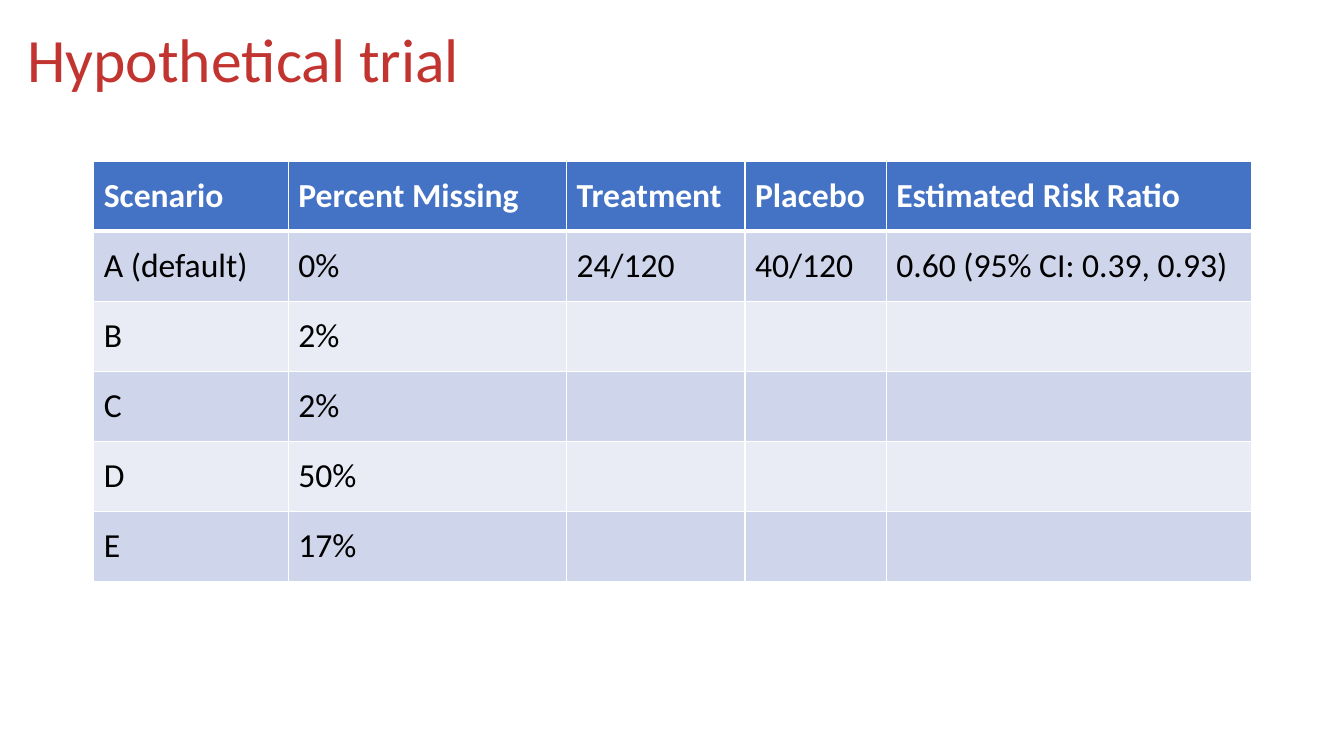
from dataclasses import dataclass

from lxml.etree import SubElement
from pptx import Presentation
from pptx.dml.color import RGBColor
from pptx.enum.text import MSO_ANCHOR, PP_ALIGN
from pptx.oxml.ns import qn
from pptx.util import Inches, Pt


@dataclass(frozen=True)
class Theme:
    font: str = "Calibri"
    title_size: int = 44
    table_size: int = 24
    title: str = "C2342F"
    header: str = "4472C4"
    bands: tuple = ("CFD5EA", "E9EBF5")
    light: str = "FFFFFF"
    dark: str = "000000"


THEME = Theme()
COLUMN_WIDTHS = [1.93, 2.76, 1.77, 1.4, 3.62]
ROWS = [
    ["Scenario", "Percent Missing", "Treatment", "Placebo", "Estimated Risk Ratio"],
    ["A (default)", "0%", "24/120", "40/120", "0.60 (95% CI: 0.39, 0.93)"],
    ["B", "2%", "", "", ""],
    ["C", "2%", "", "", ""],
    ["D", "50%", "", "", ""],
    ["E", "17%", "", "", ""],
]


def format_runs(p, size, color, bold=False):
    for r in p.runs:
        r.font.name = THEME.font
        r.font.size = Pt(size)
        r.font.bold = bold
        r.font.color.rgb = RGBColor.from_string(color)


def set_borders(cell, widths):
    """Draw light cell borders; widths maps each side (L, R, T, B) to points."""
    tc_pr = cell._tc.get_or_add_tcPr()
    for side, width in widths.items():
        ln = SubElement(tc_pr, qn(f"a:ln{side}"), w=str(Pt(width)))
        fill = SubElement(ln, qn("a:solidFill"))
        SubElement(fill, qn("a:srgbClr"), val=THEME.light)


def add_title(slide, text, left, top, width, height):
    sp = slide.shapes.title
    sp.left, sp.top = Inches(left), Inches(top)
    sp.width, sp.height = Inches(width), Inches(height)
    tf = sp.text_frame
    tf.text = text
    tf.word_wrap = True
    tf.vertical_anchor = MSO_ANCHOR.MIDDLE
    p = tf.paragraphs[0]
    p.alignment = PP_ALIGN.LEFT
    p.line_spacing = 0.9
    format_runs(p, THEME.title_size, THEME.title)


def add_scenario_table(slide, rows, left, top, width, height):
    table = slide.shapes.add_table(
        len(rows), len(rows[0]),
        Inches(left), Inches(top), Inches(width), Inches(height),
    ).table
    for column, share in zip(table.columns, COLUMN_WIDTHS):
        column.width = Inches(width * share / sum(COLUMN_WIDTHS))

    for i, row in enumerate(rows):
        is_header = i == 0
        fill = THEME.header if is_header else THEME.bands[(i - 1) % 2]
        color = THEME.light if is_header else THEME.dark
        borders = {"L": 1, "R": 1, "T": 3 if i == 1 else 1, "B": 3 if is_header else 1}
        for j, text in enumerate(row):
            cell = table.cell(i, j)
            set_borders(cell, borders)
            cell.fill.solid()
            cell.fill.fore_color.rgb = RGBColor.from_string(fill)
            cell.vertical_anchor = MSO_ANCHOR.MIDDLE
            if text:
                cell.text_frame.text = text
                format_runs(cell.text_frame.paragraphs[0], THEME.table_size, color, is_header)


def main():
    prs = Presentation()
    prs.slide_width, prs.slide_height = Inches(13.33), Inches(7.5)
    slide = prs.slides.add_slide(prs.slide_layouts.get_by_name("Title Only"))

    # Title
    add_title(slide, "Hypothetical trial", 0.17, 0.16, 13, 0.92)

    # Scenarios and their results
    add_scenario_table(slide, ROWS, 0.93, 1.6, 11.48, 4.17)

    prs.save("out.pptx")


if __name__ == "__main__":
    main()
